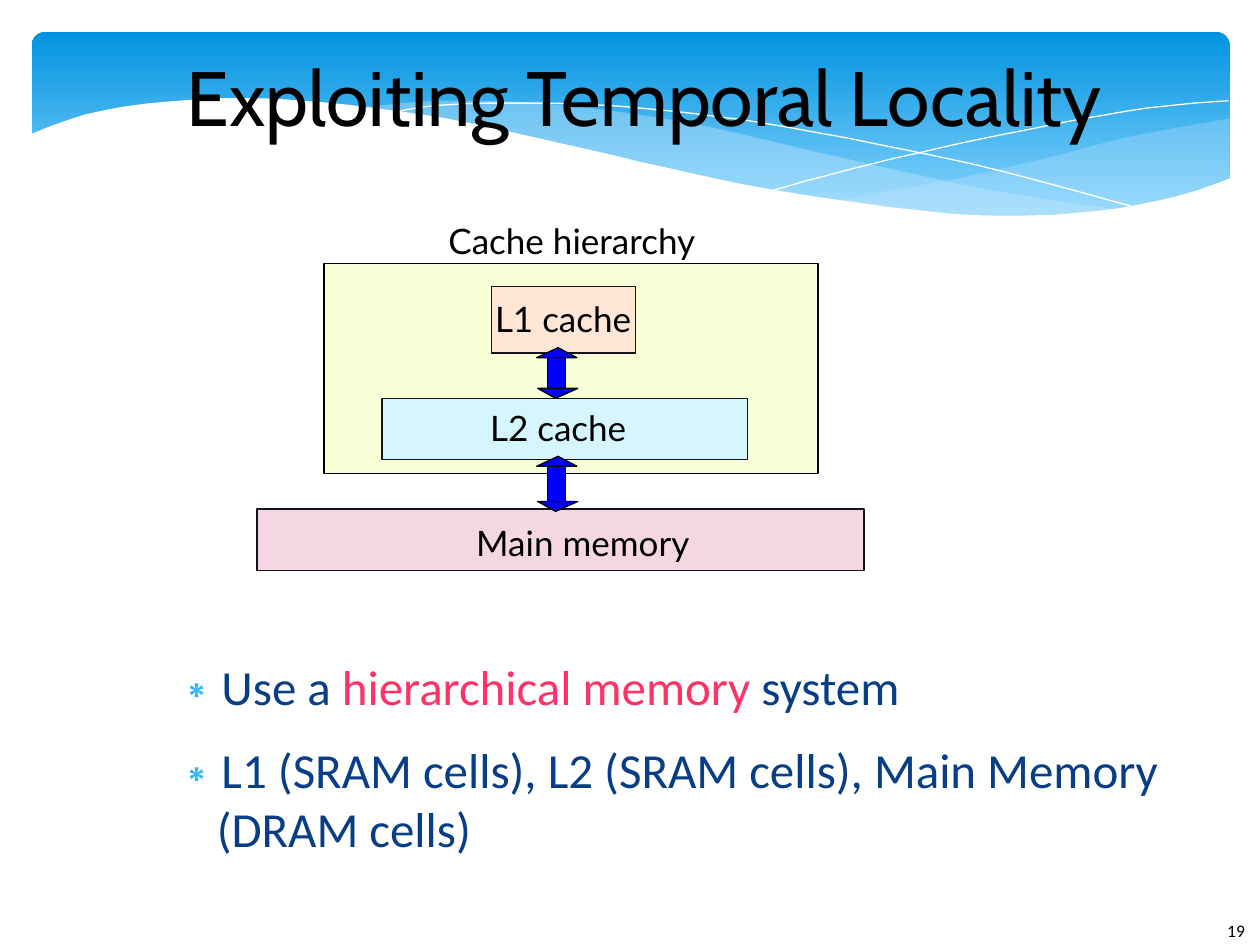
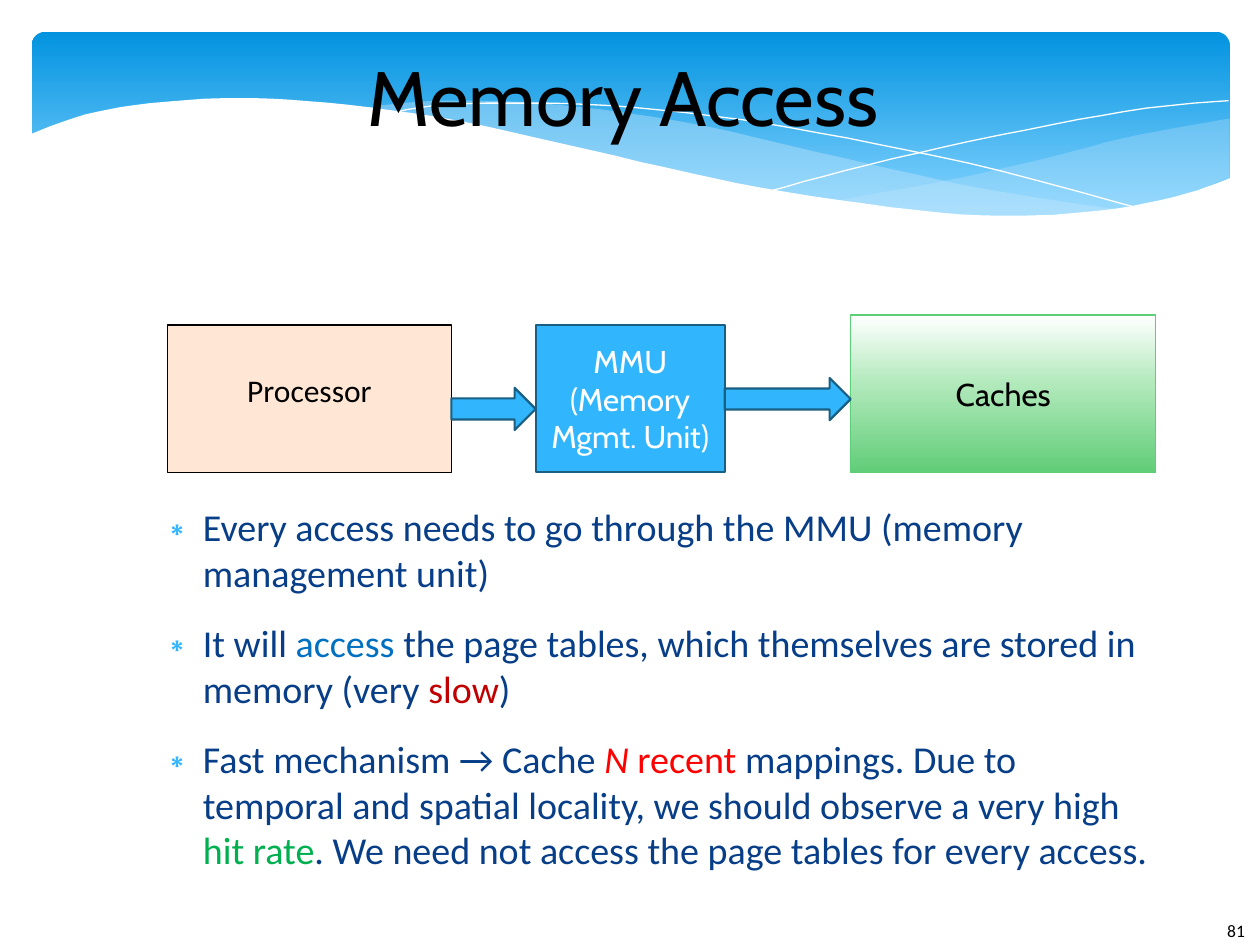
import copy
import dataclasses

import lxml.etree
import pptx
import pptx.dml.color
import pptx.enum.shapes
import pptx.enum.text
import pptx.oxml.ns
import pptx.util


@dataclasses.dataclass(frozen=True)
class Theme:
    title_font: str = "Cabin"
    body_font: str = "Calibri"
    label_font: str = "Lato"
    title_size: float = 44
    label_size: float = 20
    box_size: float = 18
    page_size: float = 10
    black: str = "000000"
    white: str = "FFFFFF"
    navy: str = "073E87"
    sky: str = "31B6FD"
    sky_edge: str = "195F84"
    wave: str = "C6E7FC"
    band: tuple = ((0, "0293E0"), (0.9, "83D3FE"))
    green: tuple = ((0, "FFFFFF"), (0.44, "B1E9BB"), (1, "61CD78"))
    green_edge: str = "5BD078"
    peach: str = "FFE6D5"
    lemon: str = "F6FFD5"
    ice: str = "D5F6FF"
    rose: str = "F4D7E3"
    box_edge: str = "15111D"
    arrow: str = "0000FF"
    pink: str = "FF3366"
    blue: str = "0070C0"
    dark_red: str = "C00000"
    red: str = "FF0000"
    hit_green: str = "00B050"


theme = Theme()
Cm = pptx.util.Cm
Pt = pptx.util.Pt
RGBColor = pptx.dml.color.RGBColor
qn = pptx.oxml.ns.qn
SHAPE = pptx.enum.shapes.MSO_SHAPE
ANCHOR = pptx.enum.text.MSO_ANCHOR
ALIGN = pptx.enum.text.PP_ALIGN


def paint(shape, fill=None, edge=None, width=0, opacity=None):
    shape.shadow.inherit = False
    if fill is None:
        shape.fill.background()
    elif isinstance(fill, str):
        shape.fill.solid()
        shape.fill.fore_color.rgb = RGBColor.from_string(fill)
    else:
        shape.fill.gradient()
        shape.fill.gradient_angle = 270
        stop_list = shape._element.spPr.find(".//" + qn("a:gsLst"))
        while len(stop_list) < len(fill):
            stop_list.append(copy.deepcopy(stop_list[0]))
        for stop, (position, color) in zip(shape.fill.gradient_stops, fill):
            stop.position = position
            stop.color.rgb = RGBColor.from_string(color)
    if opacity is not None:
        color_element = shape._element.spPr.find(".//" + qn("a:srgbClr"))
        lxml.etree.SubElement(color_element, qn("a:alpha"), val=str(opacity * 1000))
    if edge is None:
        shape.line.fill.background()
    else:
        shape.line.color.rgb = RGBColor.from_string(edge)
        shape.line.width = Pt(width)


def add_run(paragraph, text, font, size, color, italic=False):
    run = paragraph.add_run()
    run.text = text
    run.font.name = font
    run.font.size = Pt(size)
    run.font.italic = italic
    run.font.color.rgb = RGBColor.from_string(color)


presentation = pptx.Presentation()
presentation.slide_width = Cm(25.4)
presentation.slide_height = Cm(19.05)
layout = presentation.slide_layouts[1]

slide_texts = [
    ("Exploiting Temporal Locality", 2.69, "19", (3.18, 13.23, 20.32, 4.11), 28, [
        [("Use a ", theme.navy), ("hierarchical memory", theme.pink), (" system", theme.navy)],
        [("L1 (SRAM cells), L2 (SRAM cells), Main Memory (DRAM cells)", theme.navy)],
    ]),
    ("Memory Access", 2.26, "81", (2.9, 10.16, 20.6, 6.71), 21.7, [
        [("Every access needs to go through the MMU (memory management unit)", theme.navy)],
        [("It will ", theme.navy), ("access ", theme.blue),
         ("the page tables, which themselves are stored in memory (very ", theme.navy),
         ("slow", theme.dark_red), (")", theme.navy)],
        [("Fast mechanism → Cache ", theme.navy), ("N", theme.red, True),
         (" recent ", theme.red),
         ("mappings. Due to temporal and spatial locality, we should observe a very high ",
          theme.navy),
         ("hit rate", theme.hit_green),
         (". We need not access the page tables for every access.", theme.navy)],
    ]),
]

slides = []
for title, title_left, page, body_box, body_size, bullets in slide_texts:
    slide = presentation.slides.add_slide(layout)
    slides.append(slide)
    title_shape, body_shape = slide.placeholders
    for shape, box in ((title_shape, (title_left, 0.64, 20.6, 2.59)), (body_shape, body_box)):
        shape.left, shape.top, shape.width, shape.height = map(Cm, box)
        frame = shape.text_frame
        frame.margin_left = frame.margin_top = frame.margin_right = frame.margin_bottom = 0
        frame.word_wrap = True
        frame.auto_size = pptx.enum.text.MSO_AUTO_SIZE.NONE

    title_shape.text_frame.vertical_anchor = ANCHOR.MIDDLE
    paragraph = title_shape.text_frame.paragraphs[0]
    paragraph.alignment = ALIGN.CENTER
    add_run(paragraph, title, theme.title_font, theme.title_size, theme.black)

    frame = body_shape.text_frame
    frame.vertical_anchor = ANCHOR.TOP
    for index, runs in enumerate(bullets):
        paragraph = frame.add_paragraph() if index else frame.paragraphs[0]
        properties = paragraph._p.get_or_add_pPr()
        properties.set("marL", str(Cm(1.19)))
        properties.set("indent", str(Cm(-0.89)))
        bullet_color = lxml.etree.SubElement(properties, qn("a:buClr"))
        lxml.etree.SubElement(bullet_color, qn("a:srgbClr"), val=theme.sky)
        lxml.etree.SubElement(properties, qn("a:buChar"), char="∗")
        paragraph.space_before = Pt(0)
        paragraph.space_after = Pt(14.1)
        for text, color, *italic in runs:
            add_run(paragraph, text, theme.body_font, body_size, color, *italic)

    page_box = slide.shapes.add_textbox(*map(Cm, (24.49, 18.42, 1.55, 1.02)))
    add_run(page_box.text_frame.paragraphs[0], page,
            theme.body_font, theme.page_size, theme.black)

hierarchy_slide, access_slide = slides

band = hierarchy_slide.shapes.add_shape(
    SHAPE.ROUNDED_RECTANGLE, *map(Cm, (0.64, 0.64, 24.15, 3.96)))
band.adjustments[0] = 0.07
paint(band, theme.band)
band_shapes = [band]

waves = [
    ([[(24.79, 2.39), (23.75, 2.57), (22.63, 2.79), (21.13, 3.18), (19.13, 3.63),
       (16.79, 4.06)],
      [(16.79, 4.06), (17.91, 4.19), (19.23, 4.32), (20.4, 4.37), (21.69, 4.32),
       (22.78, 4.19), (23.75, 3.96), (24.79, 3.58)]],
     {"fill": theme.wave, "opacity": 29}),
    ([[(7.26, 2.18), (8.33, 2.06), (9.65, 2.03), (11.23, 2.11), (13.06, 2.34),
       (14.45, 2.59), (15.98, 2.95), (17.93, 3.4), (19.69, 3.78), (21.26, 4.04),
       (22.68, 4.24)],
      [(22.68, 4.24), (21.77, 4.34), (20.5, 4.39), (19, 4.32), (17.27, 4.14),
       (15.27, 3.81), (13.46, 3.43), (11.4, 2.95), (9.73, 2.57), (8.2, 2.29),
       (7.26, 2.18)]],
     {"fill": theme.wave, "opacity": 40}),
    ([[(7.85, 2.29), (8.74, 2.13), (10.19, 2.08), (11.91, 2.11), (13.54, 2.24),
       (15.44, 2.49), (17.65, 2.9), (20.19, 3.45), (23.04, 4.22)]],
     {"edge": theme.white}),
    ([[(15.57, 3.84), (17.07, 3.43), (19, 2.97), (21.23, 2.51), (23.11, 2.18),
       (24.77, 2.03)]],
     {"edge": theme.white}),
    ([[(0.58, 2.72), (1.17, 2.49), (1.93, 2.26), (3.02, 2.08), (4.5, 1.98),
       (5.84, 2.01), (7.42, 2.16), (9.27, 2.44), (11.35, 2.9), (13.44, 3.38),
       (15.32, 3.78), (17.48, 4.11), (19.33, 4.32), (20.9, 4.34), (22.23, 4.24),
       (23.37, 4.04), (24.13, 3.84), (24.82, 3.58)],
      [(24.82, 5.69), (0.58, 5.69)]],
     {"fill": theme.white}),
]
steps = 4
for curves, style in waves:
    points = []
    for knots in curves:
        padded = [knots[0], *knots, knots[-1]]
        for before, start, end, after in zip(padded, padded[1:], padded[2:], padded[3:]):
            for step in range(steps):
                t = step / steps
                points.append(tuple(
                    50 * (2 * b + (c - a) * t + (2 * a - 5 * b + 4 * c - d) * t ** 2
                          + (3 * b - a - 3 * c + d) * t ** 3)
                    for a, b, c, d in zip(before, start, end, after)))
        points.append(tuple(100 * value for value in knots[-1]))
    builder = hierarchy_slide.shapes.build_freeform(*points[0], scale=Cm(0.01))
    builder.add_line_segments(points[1:], close="fill" in style)
    wave = builder.convert_to_shape()
    paint(wave, **style)
    band_shapes.append(wave)

for number, shape in enumerate(band_shapes):
    shape.name = f"Band {number + 1}"
    shape._element.nvSpPr.cNvPr.set("id", str(100 + number))
    layout.shapes._spTree.insert(2 + number, shape._element)

memory_levels = [
    ((6.53, 5.31, 9.96, 4.24), theme.lemon, theme.black),
    ((9.91, 5.77, 2.9, 1.35), theme.peach, theme.box_edge),
    ((7.7, 8.03, 7.37, 1.24), theme.ice, theme.box_edge),
    ((5.18, 10.26, 12.24, 1.24), theme.rose, theme.box_edge),
]
for box, fill, edge in memory_levels:
    level = hierarchy_slide.shapes.add_shape(SHAPE.RECTANGLE, *map(Cm, box))
    paint(level, fill, edge)

level_labels = [
    ("Cache hierarchy", 9.04, 4.42, 5.18),
    ("L1 cache", 9.98, 5.99, 2.9),
    ("L2 cache", 9.88, 8.2, 2.9),
    ("Main memory", 9.6, 10.52, 4.32),
]
for text, left, top, width in level_labels:
    label = hierarchy_slide.shapes.add_textbox(*map(Cm, (left, top, width, 0.86)))
    frame = label.text_frame
    frame.margin_left = frame.margin_top = frame.margin_right = frame.margin_bottom = 0
    frame.word_wrap = False
    add_run(frame.paragraphs[0], text, theme.label_font, theme.label_size, theme.black)

for top, bottom in ((7.01, 8.03), (9.2, 10.31)):
    shaft = hierarchy_slide.shapes.add_shape(
        SHAPE.RECTANGLE, *map(Cm, (11.04, top + 0.13, 0.36, bottom - top - 0.24)))
    paint(shaft, theme.arrow, theme.black)
    for tip_x, tip_y, base_left, base_y in (
            (11.25, top, 10.82, top + 0.2), (11.2, bottom, 10.84, bottom - 0.2)):
        builder = hierarchy_slide.shapes.build_freeform(
            100 * tip_x, 100 * tip_y, scale=Cm(0.01))
        builder.add_line_segments(
            [(100 * base_left, 100 * base_y), (100 * base_left + 81, 100 * base_y)])
        paint(builder.convert_to_shape(), theme.arrow, theme.black)

access_boxes = [
    ("Processor", (3.38, 6.55, 5.72, 2.97), theme.peach, theme.black, 0,
     theme.body_font, theme.black, 0.49),
    ("MMU (Memory Mgmt. Unit)", (10.8, 6.55, 3.81, 2.97), theme.sky, theme.sky_edge, 1.25,
     theme.title_font, theme.white, 0.13),
    ("Caches", (17.15, 6.35, 6.15, 3.18), theme.green, theme.green_edge, 0.75,
     theme.title_font, theme.black, 0.13),
]
for text, box, fill, edge, width, font, color, bottom_margin in access_boxes:
    shape = access_slide.shapes.add_shape(SHAPE.RECTANGLE, *map(Cm, box))
    paint(shape, fill, edge, width)
    frame = shape.text_frame
    frame.word_wrap = True
    frame.vertical_anchor = ANCHOR.MIDDLE
    frame.margin_bottom = Cm(bottom_margin)
    paragraph = frame.paragraphs[0]
    paragraph.alignment = ALIGN.CENTER
    add_run(paragraph, text, font, theme.box_size, color)

for left, top, width in ((9.1, 7.82, 1.7), (14.61, 7.62, 2.54)):
    flow_arrow = access_slide.shapes.add_shape(
        SHAPE.RIGHT_ARROW, *map(Cm, (left, top, width, 0.85)))
    paint(flow_arrow, theme.sky, theme.sky_edge, 1.25)

presentation.save("out.pptx")
